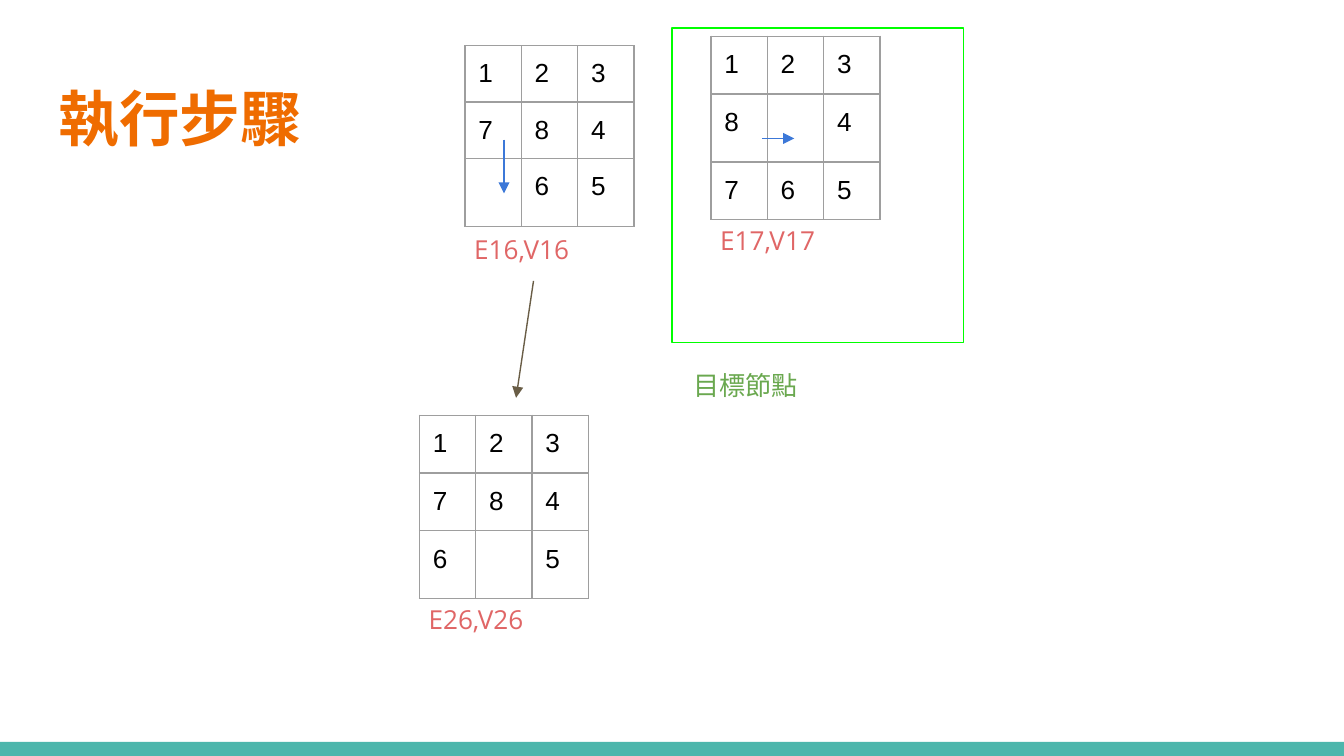
from dataclasses import dataclass

from lxml.etree import SubElement
from pptx import Presentation
from pptx.dml.color import RGBColor
from pptx.enum.shapes import MSO_CONNECTOR, MSO_SHAPE
from pptx.enum.text import MSO_ANCHOR, MSO_AUTO_SIZE
from pptx.oxml.ns import qn
from pptx.util import Inches, Pt


@dataclass(frozen=True)
class Theme:
    title: str = "EF6C00"
    caption: str = "E06666"
    goal_text: str = "6AA84F"
    goal_frame: str = "00FF00"
    digit: str = "000000"
    border: str = "9E9E9E"
    move: str = "3C78D8"
    branch: str = "695D46"
    footer: str = "4DB6AC"
    title_size: float = 32.4
    body_size: float = 14
    line_width: float = 0.75
    title_font: str = "Arial Narrow"
    digit_font: str = "Arial"
    body_font: str = "Open Sans"


def grid(count):
    return Inches(count / 10)


def write(frame, text, *, size, font, color, bold=False):
    frame.margin_left = frame.margin_right = grid(1)
    frame.margin_top = frame.margin_bottom = grid(1)
    run = frame.paragraphs[0].add_run()
    run.text = text
    run.font.size = Pt(size)
    run.font.name = font
    run.font.bold = bold
    run.font.color.rgb = RGBColor.from_string(color)
    SubElement(run.font._element, qn("a:ea"), typeface=font)


class PuzzleSlide:
    """Draws puzzle states on a slide laid out in tenth-inch columns and rows."""

    def __init__(self, slide, theme):
        self.shapes = slide.shapes
        self.theme = theme

    def label(self, text, left, top, width, height=4.4, *, anchor=MSO_ANCHOR.TOP, **text_format):
        box = self.shapes.add_textbox(*map(grid, (left, top, width, height)))
        frame = box.text_frame
        frame.word_wrap = True
        frame.vertical_anchor = anchor
        frame.auto_size = MSO_AUTO_SIZE.NONE
        style = {"size": self.theme.body_size, "font": self.theme.body_font}
        write(frame, text, **(style | text_format))

    def rectangle(self, left, top, width, height, *, fill=None, line=None):
        shape = self.shapes.add_shape(MSO_SHAPE.RECTANGLE, *map(grid, (left, top, width, height)))
        shape.shadow.inherit = False
        if fill:
            shape.fill.solid()
            shape.fill.fore_color.rgb = RGBColor.from_string(fill)
        else:
            shape.fill.background()
        if line:
            shape.line.color.rgb = RGBColor.from_string(line)
            shape.line.width = Pt(self.theme.line_width)
        else:
            shape.line.fill.background()

    def arrow(self, start, end, color):
        connector = self.shapes.add_connector(MSO_CONNECTOR.STRAIGHT, *map(grid, start + end))
        connector.line.color.rgb = RGBColor.from_string(color)
        connector.line.width = Pt(self.theme.line_width)
        properties = connector._element.spPr
        SubElement(properties.find(qn("a:ln")), qn("a:tailEnd"), type="triangle")
        SubElement(properties, qn("a:effectLst"))

    def outline(self, cell):
        properties = cell._tc.get_or_add_tcPr()
        for side in ("lnL", "lnR", "lnT", "lnB"):
            line = SubElement(properties, qn(f"a:{side}"), w=str(Pt(self.theme.line_width)))
            fill = SubElement(line, qn("a:solidFill"))
            SubElement(fill, qn("a:srgbClr"), val=self.theme.border)
        cell.fill.background()

    def puzzle(self, caption, rows, left, top, row_height=4.3):
        side = 4.19
        heights = [row_height + 0.7 * (" " in row) for row in rows]
        position = map(grid, (left, top, 3 * side, sum(heights)))
        table = self.shapes.add_table(3, 3, *position).table
        table.first_row = table.horz_banding = False
        for index, (row, height) in enumerate(zip(rows, heights)):
            table.rows[index].height = grid(height)
            table.columns[index].width = grid(side)
            for column, digit in enumerate(row):
                cell = table.cell(index, column)
                self.outline(cell)
                cell.margin_left = cell.margin_right = grid(1)
                cell.margin_top = cell.margin_bottom = grid(1)
                if digit != " ":
                    write(cell.text_frame, digit, size=self.theme.body_size,
                          font=self.theme.digit_font, color=self.theme.digit)
        self.label(caption, left - 0.3, top + 13, 13.2, color=self.theme.caption)


def main():
    presentation = Presentation()
    presentation.slide_width = grid(100)
    presentation.slide_height = grid(56.25)
    theme = Theme()
    page = PuzzleSlide(presentation.slides.add_slide(presentation.slide_layouts[6]), theme)

    page.rectangle(0, 55.2, 100, 1.05, fill=theme.footer)
    page.label("執行步驟", 3.4, 4.9, 26.6, 7.7, anchor=MSO_ANCHOR.MIDDLE, size=theme.title_size,
               font=theme.title_font, color=theme.title, bold=True)
    page.puzzle("E16,V16", ("123", "784", " 65"), 34.6, 3.4, row_height=4.17)
    page.puzzle("E17,V17", ("123", "8 4", "765"), 52.9, 2.7)
    page.puzzle("E26,V26", ("123", "784", "6 5"), 31.2, 30.9)
    page.arrow((37.5, 10.4), (37.5, 14.4), theme.move)
    page.arrow((56.7, 10.3), (59.1, 10.3), theme.move)
    page.arrow((39.7, 20.9), (38.4, 29.6), theme.branch)
    page.rectangle(50, 2.1, 21.7, 23.4, line=theme.goal_frame)
    page.label("目標節點", 50.6, 26.5, 12.6, color=theme.goal_text)
    presentation.save("out.pptx")


if __name__ == "__main__":
    main()
